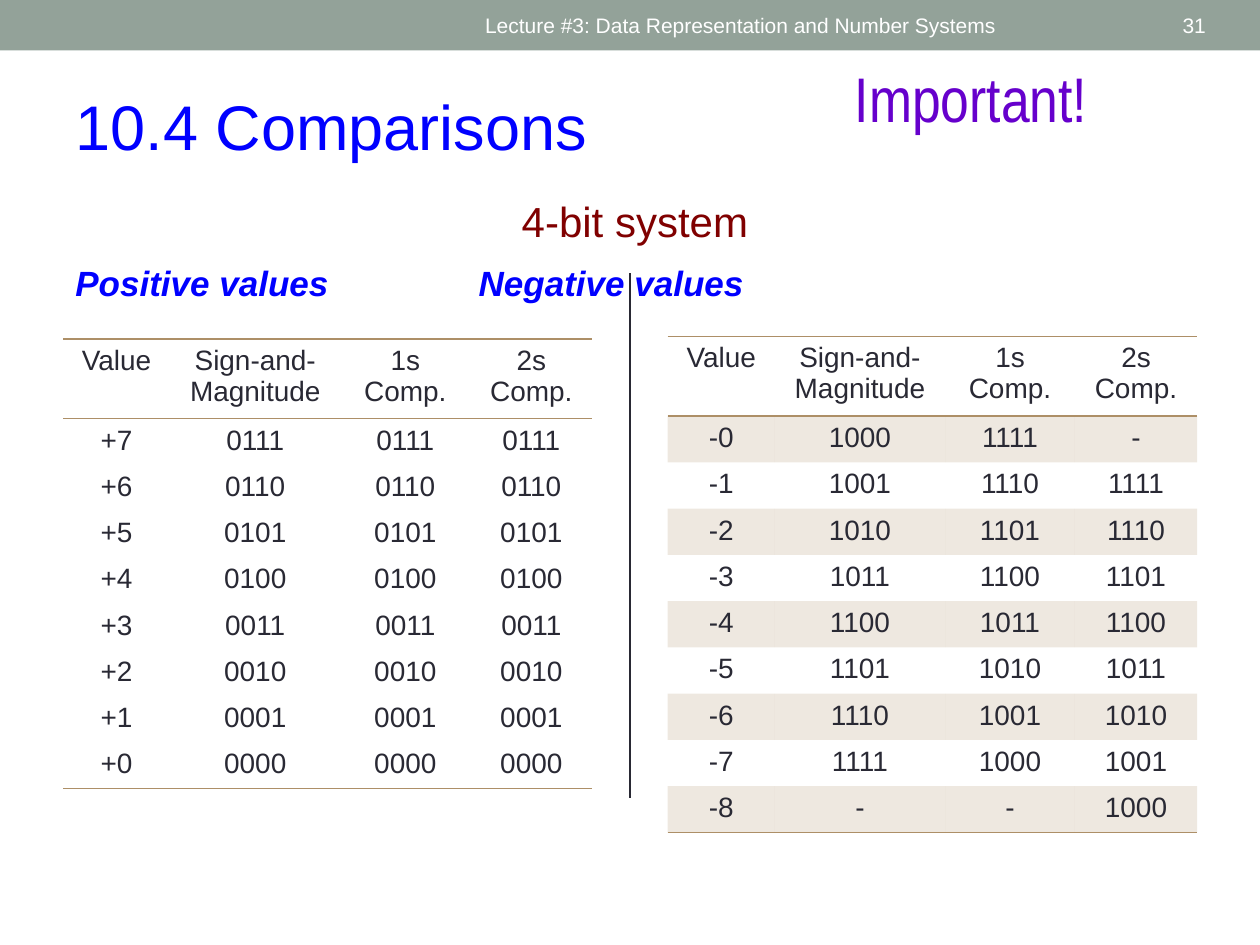
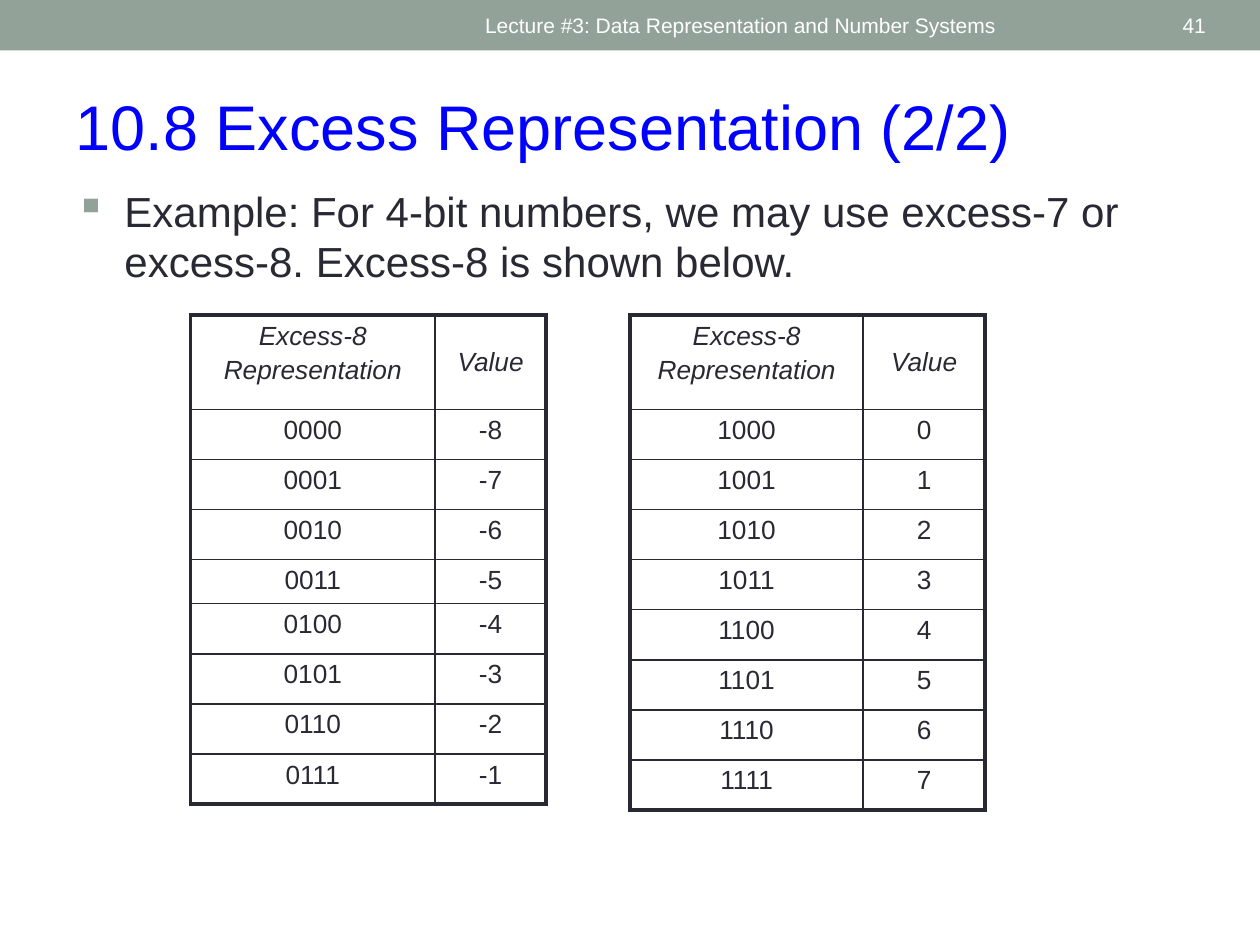
from dataclasses import dataclass

from lxml.etree import SubElement
from pptx import Presentation
from pptx.dml.color import RGBColor
from pptx.enum.shapes import MSO_CONNECTOR, MSO_SHAPE
from pptx.enum.text import MSO_ANCHOR, MSO_AUTO_SIZE, PP_ALIGN
from pptx.oxml.ns import qn
from pptx.util import Cm, Pt

# Shared palette and fonts
SAGE = "93A299"
INK = "292934"
TAN = "AD8F67"
BLUE = "0000FF"
MAROON = "800000"
WHITE = "FFFFFF"
FONT = "Arial"
LECTURE = "Lecture #3: Data Representation and Number Systems"


@dataclass
class Box:
    """Place and size in centimetres."""
    left: float
    top: float
    width: float
    height: float

    def lengths(self) -> tuple:
        return Cm(self.left), Cm(self.top), Cm(self.width), Cm(self.height)


@dataclass
class Grid:
    """A ruled table; edge widths run from the first outer edge to the last."""
    left: float
    top: float
    columns: list[float]
    rows: list[float]
    cells: list[list[str]]
    horizontal: list[float]
    vertical: list[float]
    line_color: str
    size: int
    fill: str | None = None
    banded: bool = False
    italic_header: bool = False
    space_before: float = 0


BAND = Box(0, 0, 25.4, 1.02)
FOOTER = Box(9.53, 0.05, 11.43, 0.91)
NUMBER = Box(22.15, 0.05, 2.41, 0.91)
TITLE = Box(1.27, 1.63, 22.86, 1.8)


def color(value: str) -> RGBColor:
    return RGBColor.from_string(value)


def write(frame, text: str, *, size: float = 16, ink: str = INK, font: str = FONT,
          bold: bool = False, italic: bool = False, align=PP_ALIGN.LEFT,
          before: float = 0, after: float = 0, add: bool = False) -> list:
    """Write one paragraph per line of text and return the paragraphs."""
    paragraphs = []
    for index, line in enumerate(text.split("\n")):
        fresh = add or index > 0
        paragraph = frame.add_paragraph() if fresh else frame.paragraphs[0]
        paragraph.alignment = align
        paragraph.space_before = Pt(before)
        paragraph.space_after = Pt(after)
        run = paragraph.add_run()
        run.text = line
        run.font.name = font
        run.font.size = Pt(size)
        run.font.bold = bold
        run.font.italic = italic
        run.font.color.rgb = color(ink)
        paragraphs.append(paragraph)
    return paragraphs


def add_text_frame(slide, box: Box, anchor=MSO_ANCHOR.TOP, wrap: bool = True):
    frame = slide.shapes.add_textbox(*box.lengths()).text_frame
    frame.word_wrap = wrap
    frame.vertical_anchor = anchor
    return frame


def add_base_slide(presentation, title: str, number: int):
    """Add a slide with the header band, lecture name, number and title."""
    slide = presentation.slides.add_slide(presentation.slide_layouts[5])
    band = slide.shapes.add_shape(MSO_SHAPE.RECTANGLE, *BAND.lengths())
    band.shadow.inherit = False
    band.fill.solid()
    band.fill.fore_color.rgb = color(SAGE)
    band.line.fill.background()

    write(add_text_frame(slide, FOOTER, MSO_ANCHOR.MIDDLE), LECTURE, size=12, ink=WHITE)
    write(add_text_frame(slide, NUMBER, MSO_ANCHOR.MIDDLE), str(number),
          size=12, ink=WHITE, align=PP_ALIGN.RIGHT)

    heading = slide.shapes.title
    heading.left, heading.top, heading.width, heading.height = TITLE.lengths()
    heading.text_frame.auto_size = MSO_AUTO_SIZE.NONE
    heading.text_frame.vertical_anchor = MSO_ANCHOR.TOP
    write(heading.text_frame, title, size=36, ink=BLUE)
    return slide


def add_solid(parent, value: str):
    solid = SubElement(parent, qn("a:solidFill"))
    return SubElement(solid, qn("a:srgbClr"), val=value)


def set_borders(cell, widths: dict[str, float], line_color: str) -> None:
    """Set the four cell edges; a width of zero means no line."""
    properties = cell._tc.get_or_add_tcPr()
    for index, side in enumerate("LRTB"):
        line = SubElement(properties, qn(f"a:ln{side}"), w=str(Pt(widths[side])))
        if widths[side]:
            add_solid(line, line_color)
        else:
            SubElement(line, qn("a:noFill"))
        properties.insert(index, line)


def fill_cell(cell, value: str | None, opacity: int = 100) -> None:
    if value is None:
        cell.fill.background()
        return
    cell.fill.solid()
    cell.fill.fore_color.rgb = color(value)
    if opacity < 100:
        rgb = cell._tc.tcPr.find(f"{qn('a:solidFill')}/{qn('a:srgbClr')}")
        SubElement(rgb, qn("a:alpha"), val=str(opacity * 1000))


def add_grid(slide, grid: Grid) -> None:
    box = Box(grid.left, grid.top, sum(grid.columns), sum(grid.rows))
    table = slide.shapes.add_table(
        len(grid.rows), len(grid.columns), *box.lengths()).table
    table.first_row = False
    table.horz_banding = False
    for column, width in zip(table.columns, grid.columns):
        column.width = Cm(width)
    for row, height in zip(table.rows, grid.rows):
        row.height = Cm(height)
    for r, values in enumerate(grid.cells):
        for c, value in enumerate(values):
            cell = table.cell(r, c)
            write(cell.text_frame, value, size=grid.size, align=PP_ALIGN.CENTER,
                  italic=grid.italic_header and r == 0, before=grid.space_before)
            if grid.banded and r % 2:
                fill_cell(cell, TAN, opacity=20)
            else:
                fill_cell(cell, grid.fill)
            if grid.italic_header and r == 0 and c == 1:
                cell.vertical_anchor = MSO_ANCHOR.MIDDLE
            set_borders(cell, {"L": grid.vertical[c], "R": grid.vertical[c + 1],
                               "T": grid.horizontal[r], "B": grid.horizontal[r + 1]},
                        grid.line_color)


def bits(value: int) -> str:
    return format(value, "04b")


def comparison_grid(left: float, top: float, body: list[list[str]], **style) -> Grid:
    header = ["Value", "Sign-and-Magnitude", "1s Comp.", "2s Comp."]
    count = len(body)
    return Grid(left, top, [2.16, 3.43, 2.62, 2.46], [1.61] + [0.93] * count,
                [header] + body, [1, 1] + [0] * (count - 1) + [1], [0] * 5,
                TAN, 16, **style)


def excess_grid(left: float, columns: list[float], heights: list[float],
                codes: range) -> Grid:
    body = [[bits(code), str(code - 8)] for code in codes]
    return Grid(left, 6.35, columns, [1.9] + heights,
                [["Excess-8\nRepresentation", "Value"]] + body,
                [2.25] + [1] * len(body) + [2.25], [2.25, 1, 2.25],
                INK, 15, italic_header=True, space_before=3)


def add_important_note(slide) -> None:
    frame = add_text_frame(slide, Box(16.08, 1.07, 6.99, 2.51), wrap=False)
    note = write(frame, "Important!", size=36, font="Arial Narrow",
                 align=PP_ALIGN.CENTER)[0]
    font = note.runs[0].font
    font.fill.gradient()
    font.fill.gradient_angle = 270
    for stop, value in zip(font.fill.gradient_stops, ("6600CC", "CC00CC")):
        stop.color.rgb = color(value)
    properties = note.runs[0]._r.get_or_add_rPr()
    outline = SubElement(properties, qn("a:ln"), w=str(Pt(0.75)))
    add_solid(outline, "CC99FF")
    properties.insert(0, outline)


def build_comparisons(presentation) -> None:
    slide = add_base_slide(presentation, "10.4 Comparisons", 31)

    # Headings over the two tables
    frame = add_text_frame(slide, Box(1.27, 3.81, 23.06, 2.74))
    write(frame, "4-bit system", size=24, ink=MAROON, align=PP_ALIGN.CENTER,
          before=5, after=5)
    headings = write(frame, "Positive values\tNegative values", size=20, ink=BLUE,
                     bold=True, italic=True, before=4, add=True)[0]
    tabs = SubElement(headings._p.get_or_add_pPr(), qn("a:tabLst"))
    SubElement(tabs, qn("a:tab"), pos=str(Cm(8.13)), algn="l")
    add_important_note(slide)

    # Divider
    divider = slide.shapes.add_connector(
        MSO_CONNECTOR.STRAIGHT, Cm(12.7), Cm(5.51), Cm(12.7), Cm(16.08))
    divider.line.color.rgb = color(INK)
    divider.line.width = Pt(0.75)
    SubElement(divider._element.spPr, qn("a:effectLst"))

    # Tables of positive and negative values
    positive = [[f"+{value}"] + [bits(value)] * 3 for value in range(7, -1, -1)]
    negative = [[f"-{value}",
                 bits(8 + value) if value < 8 else "-",
                 bits(15 - value) if value < 8 else "-",
                 bits(16 - value) if value else "-"] for value in range(9)]
    add_grid(slide, comparison_grid(1.27, 6.83, positive, fill=WHITE))
    add_grid(slide, comparison_grid(13.46, 6.78, negative, banded=True))


def build_excess(presentation) -> None:
    slide = add_base_slide(presentation, "10.8 Excess Representation (2/2)", 41)

    # Bulleted example
    frame = add_text_frame(slide, Box(1.27, 3.61, 22.86, 2.74))
    example = write(frame, "Example: For 4-bit numbers, we may use excess-7 or "
                           "excess-8. Excess-8 is shown below.", size=24, before=6)[0]
    properties = example._p.get_or_add_pPr()
    properties.set("marL", str(Cm(0.99)))
    properties.set("indent", str(-Cm(0.99)))
    bullet_color = SubElement(properties, qn("a:buClr"))
    SubElement(bullet_color, qn("a:srgbClr"), val=SAGE)
    SubElement(properties, qn("a:buChar"), char="▪")

    # Lower and upper half of the codes
    row = 1.01
    add_grid(slide, excess_grid(3.84, [4.93, 2.24], [row] * 3 + [0.89] + [row] * 4,
                                range(8)))
    add_grid(slide, excess_grid(12.7, [4.7, 2.46], [row] * 8, range(8, 16)))


def main() -> None:
    presentation = Presentation()
    presentation.slide_width = Cm(25.4)
    presentation.slide_height = Cm(19.05)
    build_comparisons(presentation)
    build_excess(presentation)
    presentation.save("out.pptx")


if __name__ == "__main__":
    main()
